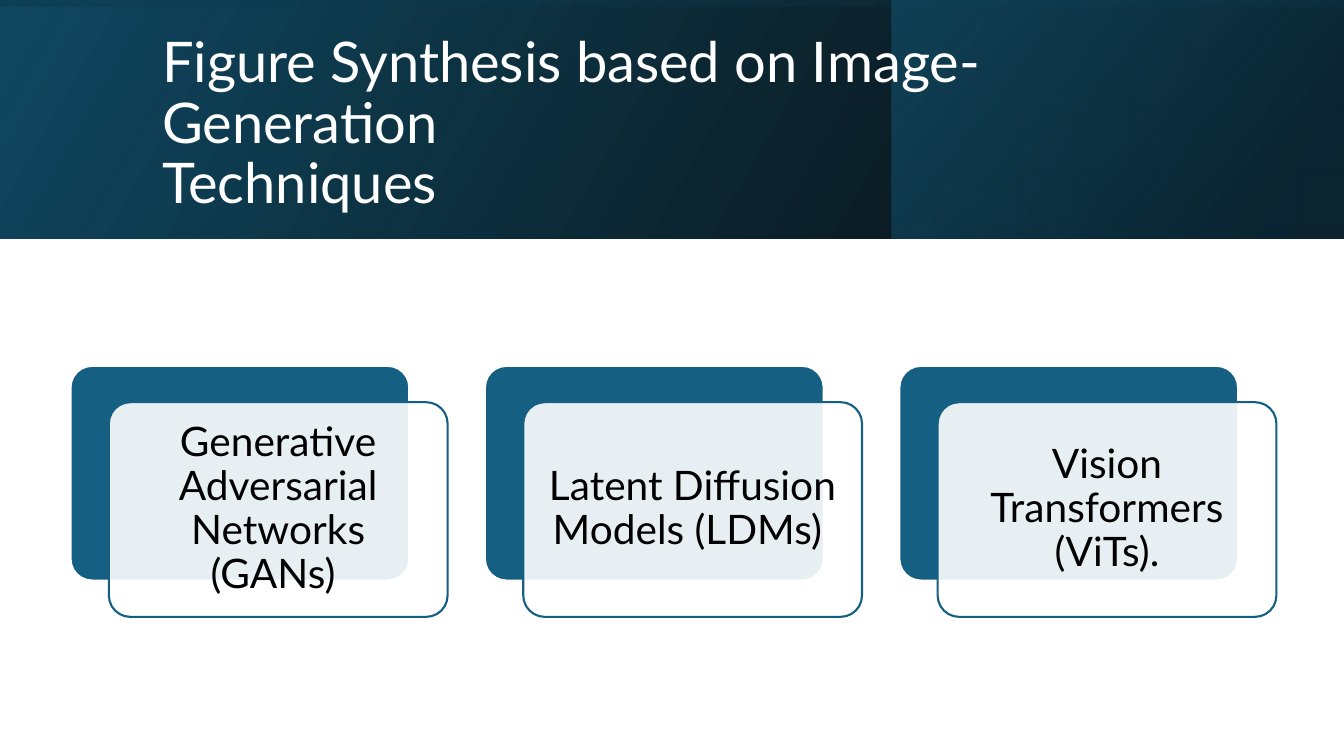
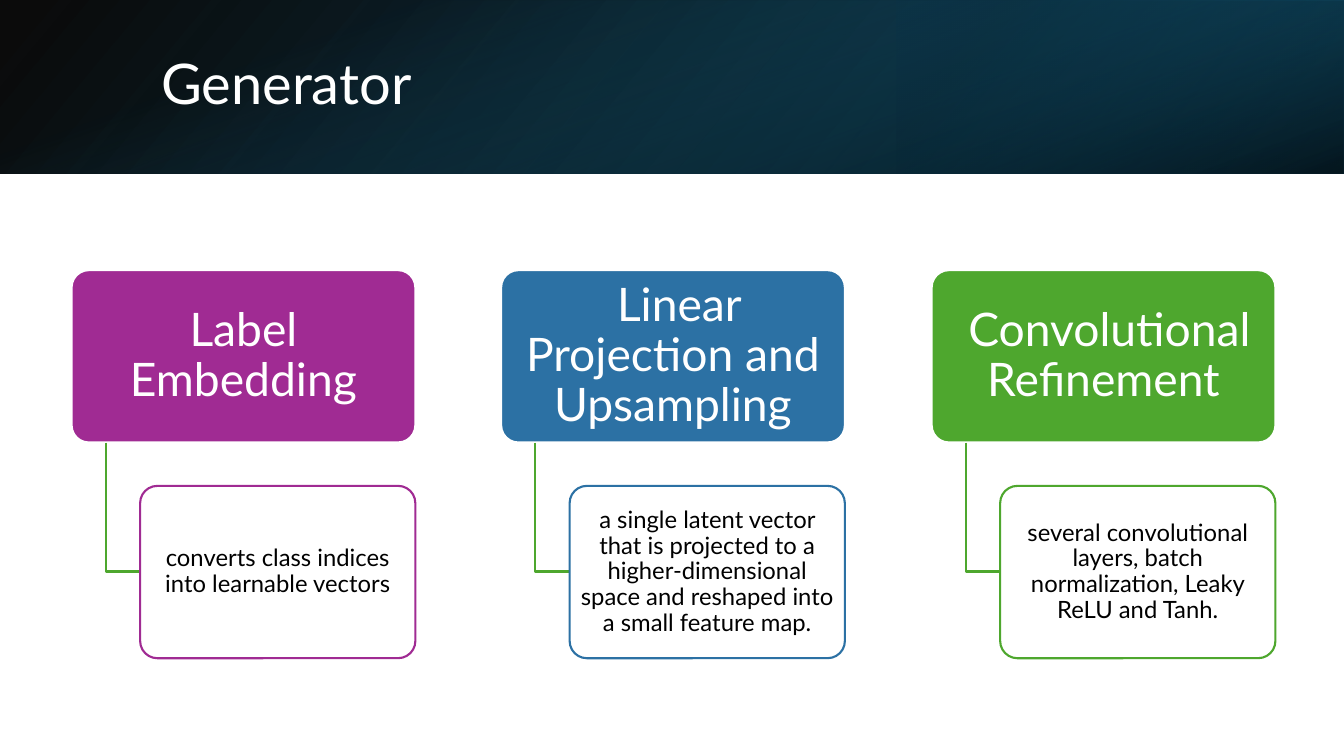
"""Build two slides with gradient title bands and rows of cards."""
from dataclasses import dataclass

from pptx import Presentation
from pptx.dml.color import RGBColor
from pptx.enum.shapes import MSO_SHAPE
from pptx.enum.text import MSO_ANCHOR, PP_ALIGN
from pptx.oxml.ns import qn
from pptx.oxml.xmlchemy import OxmlElement
from pptx.shapes.autoshape import Shape
from pptx.slide import Slide
from pptx.text.text import TextFrame
from pptx.util import Emu, Pt

PX = 9144
WIDE, HIGH = 1333, 750
FONT = "Lato"
COLORS = {
    "black": "000000",
    "white": "FFFFFF",
    "navy": "104862",
    "deep": "0B3041",
    "teal": "156082",
    "plum": "A02B93",
    "blue": "2C71A4",
    "green": "4EA72E",
}


@dataclass(frozen=True)
class Box:
    left: int
    top: int
    width: int
    height: int


@dataclass(frozen=True)
class Stop:
    place: int
    color: str
    alpha: int = 100


@dataclass(frozen=True)
class Band:
    box: Box
    first: Stop
    last: Stop
    angle: int
    turn: int = 0
    flip: bool = True


@dataclass(frozen=True)
class Step:
    head: str
    note: str
    color: str


BLACK, NAVY = Stop(0, "black", 96), Stop(100, "navy")
FIGURE_BANDS = [
    Band(Box(0, 0, WIDE, 237), BLACK, NAVY, 330),
    Band(Box(884, 0, 449, 237), Stop(19, "deep", 68), Stop(100, "teal", 48), 320),
    Band(Box(548, -548, 237, WIDE), Stop(23, "navy", 16), Stop(99, "black", 45), 350, 270),
]
STEP_BANDS = [
    Band(Box(0, 0, WIDE, 172), BLACK, NAVY, 140),
    Band(Box(889, 0, 444, 172), Stop(19, "deep", 68), Stop(100, "teal", 79), 320, 180),
    Band(Box(580, -580, 172, WIDE), Stop(23, "teal", 0), Stop(99, "black", 74), 340, 90, False),
]
MODELS = [
    "Generative Adversarial Networks (GANs) ",
    "Latent Diffusion Models (LDMs) ",
    "Vision Transformers (ViTs).",
]
STEPS = [
    Step("Label Embedding", "converts class indices into learnable vectors", "plum"),
    Step(
        " Linear Projection and Upsampling",
        "a single latent vector that is projected to a higher-dimensional "
        "space and reshaped into a small feature map.",
        "blue",
    ),
    Step(
        " Convolutional Refinement",
        "several convolutional layers, batch normalization, Leaky ReLU and Tanh.",
        "green",
    ),
]


def px(size: int) -> Emu:
    return Emu(size * PX)


def place(box: Box) -> tuple[Emu, Emu, Emu, Emu]:
    return px(box.left), px(box.top), px(box.width), px(box.height)


def rgb(name: str) -> RGBColor:
    return RGBColor.from_string(COLORS[name])


def fade(shape: Shape, *alphas: int) -> None:
    for color, alpha in zip(shape._element.spPr.iter(qn("a:srgbClr")), alphas):
        if alpha < 100:
            node = OxmlElement("a:alpha")
            node.set("val", str(alpha * 1000))
            color.append(node)


def write(frame: TextFrame, text: str, size: int, color: str, align: PP_ALIGN) -> None:
    frame.word_wrap = True
    frame.vertical_anchor = MSO_ANCHOR.MIDDLE
    para = frame.paragraphs[0]
    para.alignment = align
    para.line_spacing = 0.9
    for row, line in enumerate(text.split("\n")):
        if row:
            para.add_line_break()
        run = para.add_run()
        run.text = line
        run.font.name = FONT
        run.font.size = Pt(size)
        run.font.color.rgb = rgb(color)


def add_band(slide: Slide, band: Band) -> None:
    shape = slide.shapes.add_shape(MSO_SHAPE.RECTANGLE, *place(band.box))
    shape.shadow.inherit = False
    shape.rotation = band.turn
    if band.flip:
        shape._element.spPr.xfrm.set("flipH", "1")
    shape.fill.gradient()
    shape.fill.gradient_angle = 360 - band.angle
    for stop, spot in zip((band.first, band.last), shape.fill.gradient_stops):
        spot.position = stop.place / 100
        spot.color.rgb = rgb(stop.color)
    fade(shape, band.first.alpha, band.last.alpha)
    shape.line.fill.background()


def add_card(slide: Slide, box: Box, fill: str, line: str, alpha: int = 100) -> Shape:
    card = slide.shapes.add_shape(MSO_SHAPE.ROUNDED_RECTANGLE, *place(box))
    card.shadow.inherit = False
    card.adjustments[0] = 0.1
    card.fill.solid()
    card.fill.fore_color.rgb = rgb(fill)
    fade(card, alpha)
    card.line.color.rgb = rgb(line)
    card.line.width = Pt(1.5)
    return card


def label(card: Shape, text: str, size: int, color: str, side: int, edge: int) -> None:
    frame = card.text_frame
    frame.margin_left = frame.margin_right = px(side)
    frame.margin_top = frame.margin_bottom = px(edge)
    write(frame, text, size, color, PP_ALIGN.CENTER)


def add_elbow(slide: Slide, left: int, top: int, width: int, height: int) -> None:
    pen = slide.shapes.build_freeform(left, top, scale=PX)
    pen.add_line_segments([(left, top + height), (left + width, top + height)], close=False)
    elbow = pen.convert_to_shape()
    elbow.shadow.inherit = False
    elbow.fill.background()
    elbow.line.color.rgb = rgb("green")
    elbow.line.width = Pt(1.5)


def add_slide(deck: Presentation, title: str, box: Box, bands: list[Band]) -> Slide:
    slide = deck.slides.add_slide(deck.slide_layouts[6])
    for band in bands:
        add_band(slide, band)
    frame = slide.shapes.add_textbox(*place(box)).text_frame
    write(frame, title, 40, "white", PP_ALIGN.LEFT)
    return slide


def add_models(slide: Slide) -> None:
    for col, text in enumerate(MODELS):
        left = 70 + col * 411
        add_card(slide, Box(left, 363, 336, 213), "teal", "white")
        front = add_card(slide, Box(left + 38, 399, 336, 213), "white", "teal", 90)
        label(front, text, 29, "black", 12, 12)


def add_steps(slide: Slide) -> None:
    for col, step in enumerate(STEPS):
        left = 71 + col * 853 // 2
        head = add_card(slide, Box(left, 268, 341, 171), step.color, "white")
        label(head, step.head, 33, "white", 7, 5)
        add_elbow(slide, left + 34, 439, 34, 128)
        note = add_card(slide, Box(left + 68, 482, 273, 171), "white", step.color, 90)
        label(note, step.note, 17, "black", 4, 2)


def main() -> None:
    deck = Presentation()
    deck.slide_width, deck.slide_height = px(WIDE), px(HIGH)
    title = "Figure Synthesis based on Image-Generation\nTechniques"
    add_models(add_slide(deck, title, Box(151, 38, 1063, 172), FIGURE_BANDS))
    add_steps(add_slide(deck, "Generator", Box(150, 38, 1098, 96), STEP_BANDS))
    deck.save("out.pptx")


if __name__ == "__main__":
    main()
